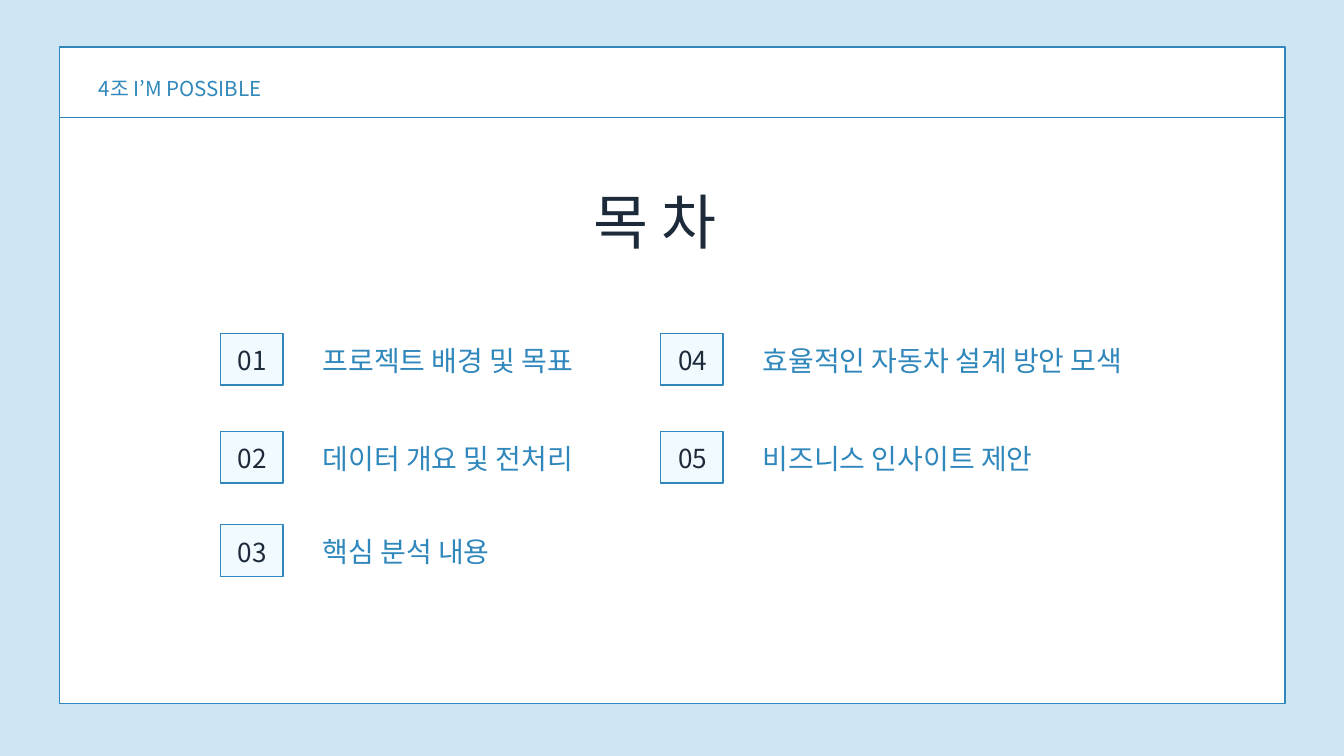
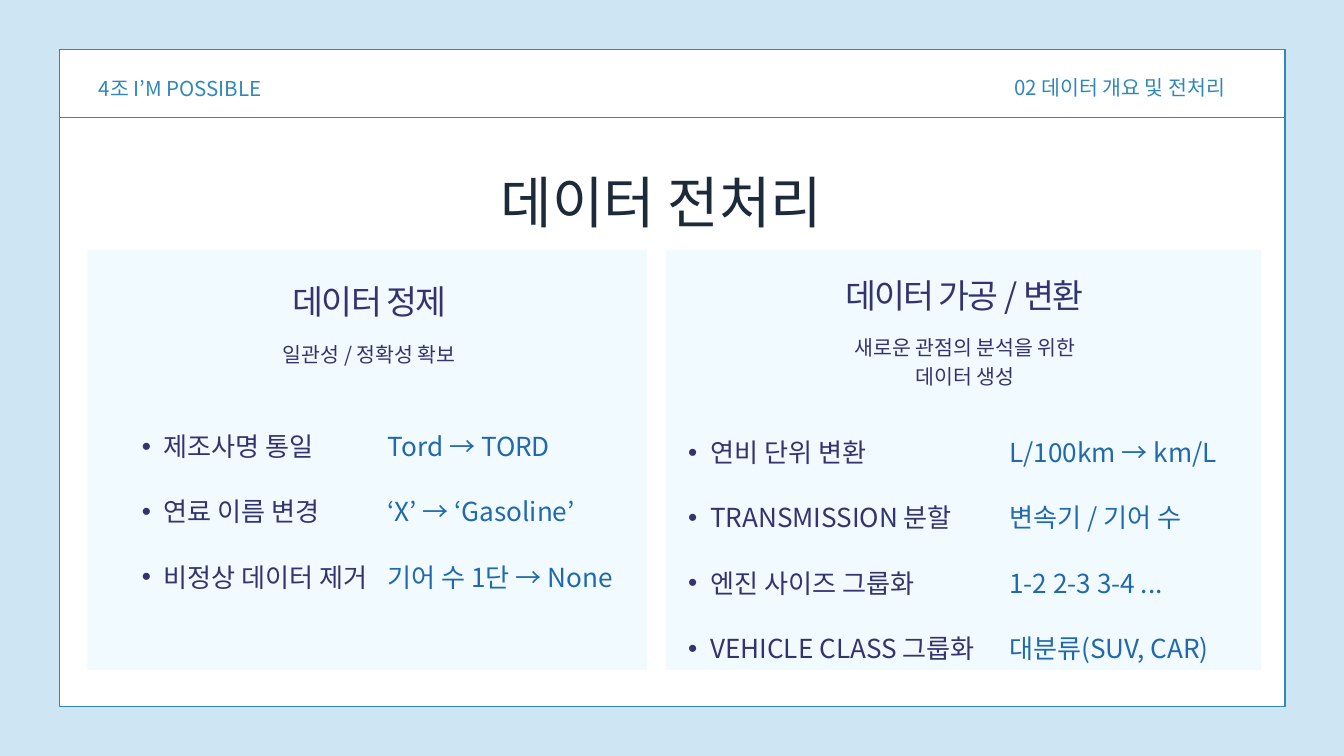
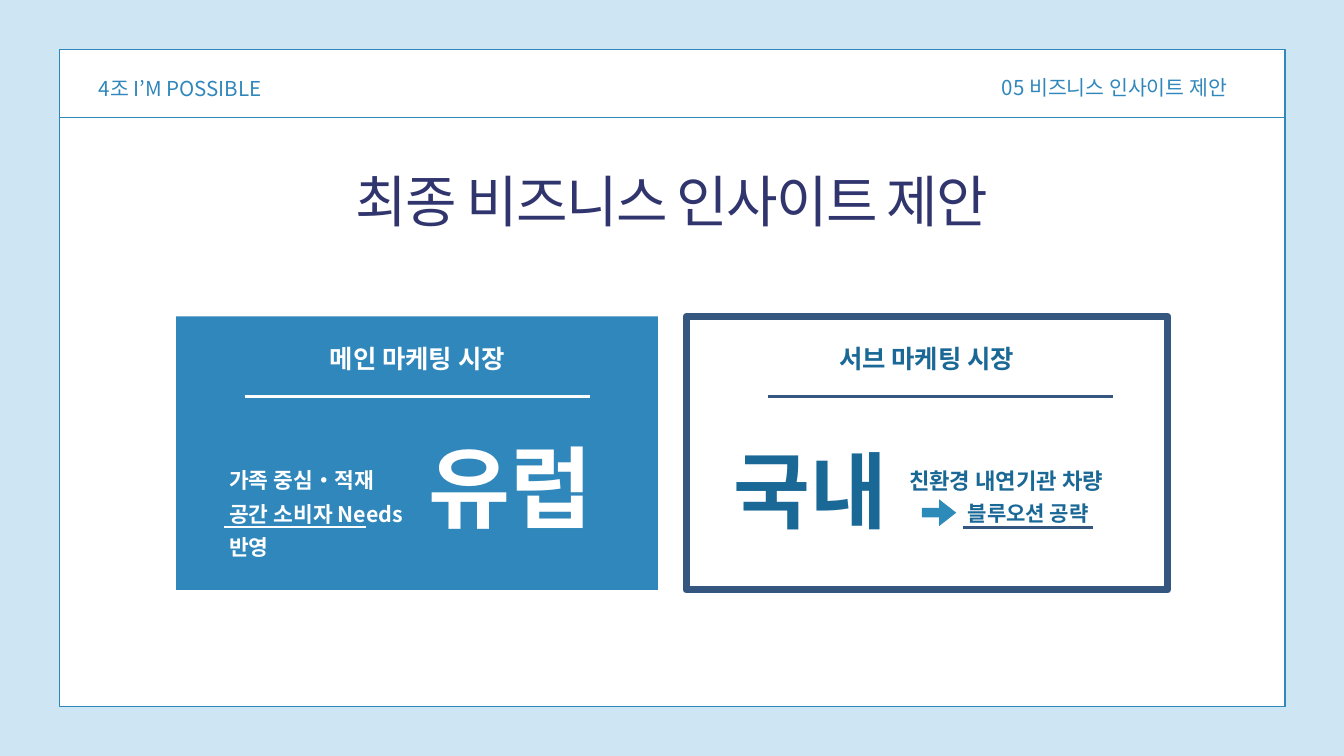
from lxml.etree import SubElement
from pptx import Presentation
from pptx.dml.color import RGBColor
from pptx.enum.shapes import MSO_CONNECTOR, MSO_SHAPE
from pptx.enum.text import MSO_ANCHOR, MSO_AUTO_SIZE, PP_ALIGN
from pptx.oxml.ns import qn
from pptx.util import Inches, Pt

COLORS = {
    "sky": "CEE6F4", "white": "FFFFFF", "blue": "3087BB", "pale": "F1FAFF",
    "ink": "1D2A3A", "navy": "31356E", "link": "2169AC", "steel": "34567F",
    "deep": "1A6896", "arrow": "2D8BBA",
}
KR = "Noto Sans CJK KR"
SC = "Noto Sans CJK SC"
LEFT, CENTER, JUSTIFY = PP_ALIGN.LEFT, PP_ALIGN.CENTER, PP_ALIGN.JUSTIFY


def color(name):
    return RGBColor.from_string(COLORS[name])


class Deck:
    """Holds the shared style and the slide being built."""

    def __init__(self):
        self.prs = Presentation()
        self.prs.slide_width = Inches(20)
        self.prs.slide_height = Inches(11.25)
        self.slide = None

    def start(self, layout, top=0.74, section=None, left=0):
        """Add a slide with its frame, header rule and header texts."""
        self.slide = self.prs.slides.add_slide(self.prs.slide_layouts[layout])
        fill = self.slide.background.fill
        fill.solid()
        fill.fore_color.rgb = color("sky")
        self.box((0.89, top, 18.23, 9.77), "white", "blue")
        self.line(0.89, 19.11, 1.75, "blue", 1.5)
        self.text((1.47, 1.07, 3.22, 0.41), ["4조 I’M POSSIBLE"], 22, "blue", 30.8)
        if section:
            self.text((left, 1.12, 3.75, 0.36), [section], 22, "blue", 26.4)

    def box(self, at, fill, edge=None, width=1.5, kind=MSO_SHAPE.RECTANGLE):
        shape = self.slide.shapes.add_shape(kind, *map(Inches, at))
        shape.shadow.inherit = False
        shape.fill.solid()
        shape.fill.fore_color.rgb = color(fill)
        if edge:
            shape.line.color.rgb = color(edge)
            shape.line.width = Pt(width)
        else:
            shape.line.fill.background()
        return shape

    def line(self, start, end, y, tone, width=2.25):
        rule = self.slide.shapes.add_connector(
            MSO_CONNECTOR.STRAIGHT, Inches(start), Inches(y), Inches(end), Inches(y))
        rule.line.color.rgb = color(tone)
        rule.line.width = Pt(width)
        SubElement(rule._element.spPr, qn("a:effectLst"))

    def text(self, at, lines, size, tone, lead, **style):
        shape = self.slide.shapes.add_textbox(*map(Inches, at))
        self.fill_text(shape, lines, size, tone, lead, **style)

    def holder(self, idx, at, lines, size, tone, lead, **style):
        """Fill a template placeholder and bring it to the front."""
        shape = self.slide.placeholders[idx]
        shape.left, shape.top, shape.width, shape.height = map(Inches, at)
        self.slide.shapes._spTree.append(shape._element)
        self.fill_text(shape, lines, size, tone, lead, **style)

    def fill_text(self, shape, lines, size, tone, lead, align=LEFT, face=KR,
                  bold=False, space=0, bullet=False):
        frame = shape.text_frame
        frame.word_wrap = True
        frame.auto_size = MSO_AUTO_SIZE.SHAPE_TO_FIT_TEXT
        frame.vertical_anchor = MSO_ANCHOR.TOP
        frame.margin_left = frame.margin_right = 0
        frame.margin_top = frame.margin_bottom = 0
        for i, words in enumerate(lines):
            para = frame.add_paragraph() if i else frame.paragraphs[0]
            para.alignment = align
            para.line_spacing = Pt(lead)
            para.space_before = Pt(0)
            if bullet:
                props = para._p.get_or_add_pPr()
                props.set("marL", str(Inches(0.66)))
                props.set("indent", str(Inches(-0.33)))
                SubElement(props, qn("a:buFont"), typeface="Arial")
                SubElement(props, qn("a:buChar"), char="•")
            run = para.add_run()
            run.text = words
            font = run.font
            font.name = face
            font.size = Pt(size)
            font.bold = bold
            font.color.rgb = color(tone)
            props = run._r.get_or_add_rPr()
            SubElement(props, qn("a:ea"), typeface=face)
            if space:
                props.set("spc", str(int(space * 100)))


def agenda(deck):
    deck.start(5, top=0.7)
    deck.holder(0, (6.68, 2.57, 6.13, 1.19), ["목 차"], 64, "ink", 89.6, align=CENTER)
    rows = (4.96, 6.42, 7.81)
    topics = ("프로젝트 배경 및 목표", "데이터 개요 및 전처리", "핵심 분석 내용",
              "효율적인 자동차 설계 방안 모색", "비즈니스 인사이트 제안")
    for i, topic in enumerate(topics):
        col, row = divmod(i, len(rows))
        x, y = 3.28 + 6.55 * col, rows[row]
        deck.box((x, y, 0.93, 0.77), "pale", "blue")
        deck.text((x - 0.17, y + 0.17, 1.29, 0.45), [f"{i + 1:02}"], 28, "ink", 33.6,
                  align=CENTER)
        deck.text((x + 1.52, y + 0.15, 5.92, 0.49), [topic], 30, "blue", 36)


def cleaning(deck):
    deck.start(4, section="02 데이터 개요 및 전처리", left=15.09)
    deck.holder(0, (7.45, 2.32, 5.11, 1.14), ["데이터 전처리"], 60, "ink", 84,
                align=JUSTIFY)
    panels = (
        ((1.3, 8.33), (3.15, 4.23), "데이터 정제",
         (4.08, 5.02, 2.83, 0.41), "일관성 / 정확성 확보",
         (1.78, 5.9, 3.8, 2.79), ("제조사명 통일", "연료 이름 변경", "비정상 데이터 제거"),
         (5.77, 5.9, 3.51, 2.79),
         ("Tord → TORD", "‘X’ → ‘Gasoline’", "기어 수 1단 → None")),
        ((9.91, 8.86), (12, 4.14), "데이터 가공 / 변환",
         (12.57, 4.93, 3.58, 0.82), "새로운 관점의 분석을 위한 데이터 생성",
         (9.91, 5.99, 5.27, 3.66),
         ("연비 단위 변환", "TRANSMISSION 분할", "엔진 사이즈 그룹화", "VEHICLE CLASS 그룹화"),
         (15.02, 5.99, 3.74, 3.66),
         ("L/100km → km/L", "변속기 / 기어 수", "1-2 2-3 3-4 ...", "대분류(SUV, CAR)")),
    )
    for i, panel in enumerate(panels):
        (x, width), spot, head, goal_at, goal, step_at, steps, note_at, notes = panel
        deck.box((x, 3.72, width, 6.25), "pale")
        deck.holder(2 * i + 1, (*spot, 4.7, 0.56), [head], 36, "navy", 40,
                    align=CENTER, space=-1.8)
        deck.text(goal_at, [goal], 22, "navy", 30.8, align=CENTER)
        deck.holder(2 * i + 2, step_at, steps, 28, "navy", 70, bullet=True)
        deck.text(note_at, notes, 28, "link", 70)


def insight(deck):
    deck.start(5, section="05 비즈니스 인사이트 제안", left=14.91)
    deck.holder(0, (4.72, 2.31, 10.56, 1.14), ["최종 비즈니스 인사이트 제안"], 60, "navy",
                84, align=CENTER, space=-1.8)
    deck.box((2.62, 4.71, 7.17, 4.07), "blue")
    deck.box((10.21, 4.71, 7.17, 4.07), "white", "steel", 7.5)
    arrow = deck.box((13.72, 7.43, 0.51, 0.4), "arrow", kind=MSO_SHAPE.RIGHT_ARROW)
    arrow.adjustments[0] = 0.35
    arrow.adjustments[1] = 0.64
    for start, end, y, tone in ((3.64, 8.78, 5.9, "white"), (11.43, 16.57, 5.9, "steel"),
                                (3.33, 5.44, 7.84, "white"), (14.33, 16.27, 7.85, "steel")):
        deck.line(start, end, y, tone)
    labels = (
        ((3.64, 5.02, 5.14, 0.51), "메인 마케팅 시장", 27.2, "white", 38.6, CENTER),
        ((11.22, 5.02, 5.14, 0.51), "서브 마케팅 시장", 27.2, "deep", 38.6, CENTER),
        ((3.41, 6.84, 2.69, 0.96), "가족 중심·적재 공간 소비자 Needs 반영", 23, "white", 35.8, LEFT),
        ((13.53, 6.83, 3.04, 0.49), "친환경 내연기관 차량", 23.8, "deep", 37.1, LEFT),
        ((6.21, 6.47, 2.76, 1.56), "유럽", 95.4, "white", 112.5, CENTER),
        ((10.77, 6.56, 2.58, 1.48), "국내", 89.4, "deep", 105.5, CENTER),
        ((14.4, 7.34, 1.96, 0.46), "블루오션 공략", 22.6, "deep", 35.2, LEFT),
    )
    for at, words, size, tone, lead, align in labels:
        deck.text(at, [words], size, tone, lead, align=align, face=SC, bold=True)


def main():
    deck = Deck()
    agenda(deck)
    cleaning(deck)
    insight(deck)
    deck.prs.save("out.pptx")


if __name__ == "__main__":
    main()
